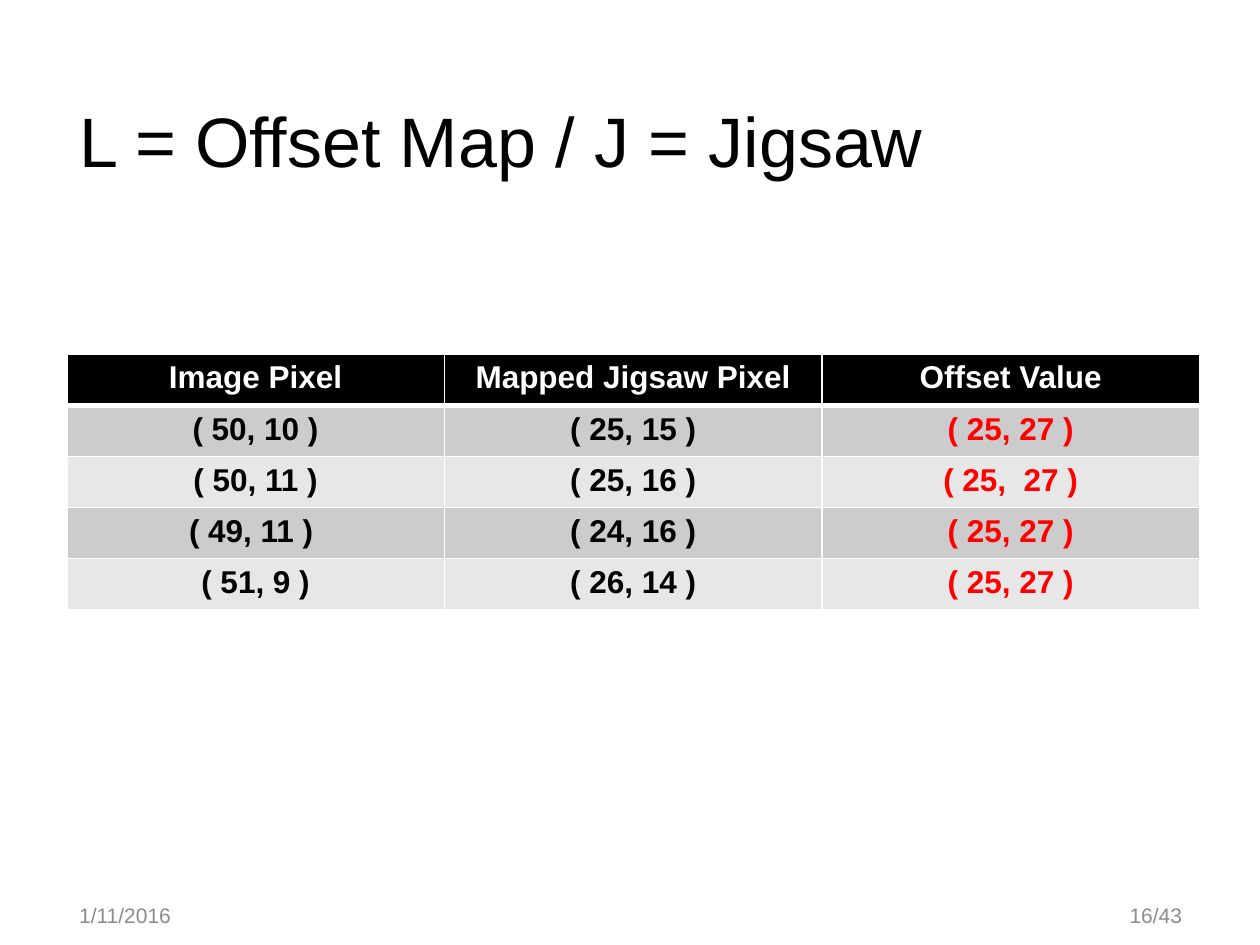
from lxml import etree
from pptx import Presentation, util as u
from pptx.dml.color import RGBColor
from pptx.enum import text
from pptx.oxml.ns import qn

BLACK = RGBColor(0x00, 0x00, 0x00)
WHITE = RGBColor(0xFF, 0xFF, 0xFF)
RED = RGBColor(0xFF, 0x00, 0x00)
GRAY = RGBColor(0x8C, 0x8C, 0x8C)
BANDS = (RGBColor(0xCC, 0xCC, 0xCC), RGBColor(0xE7, 0xE7, 0xE7))

HEADING = "L = Offset Map / J = Jigsaw"
HEADERS = ("Image Pixel", "Mapped Jigsaw Pixel", "Offset Value")
OFFSETS = (
    ("( 50, 10 )", "( 25, 15 )", "( 25, 27 )"),
    ("( 50, 11 )", "( 25, 16 )", "( 25,  27 )"),
    ("( 49, 11 ) ", "( 24, 16 )", "( 25, 27 )"),
    ("( 51, 9 )", "( 26, 14 )", "( 25, 27 )"),
)
COLUMN_COLORS = (BLACK, BLACK, RED)
LEFT, WIDTH = 0.53, 8.99
TABLE_TOP, ROW_HEIGHT = 2.81, 0.406
FOOTER_TOP, FOOTER_WIDTH, FOOTER_HEIGHT = 7.06, 2.25, 0.4
FOOTERS = (
    ("1/11/2016", LEFT, text.PP_ALIGN.LEFT),
    ("16/43", 7.23, text.PP_ALIGN.RIGHT),
)


def write(frame, words, size, color, align, bold=False):
    """Write one formatted run in the frame's first paragraph."""
    line = frame.paragraphs[0]
    line.alignment = align
    run = line.add_run()
    run.text = words
    run.font.name = "Arial"
    run.font.size = u.Pt(size)
    run.font.bold = bold
    run.font.color.rgb = color


def rule_cell(cell, widths):
    """Draw white borders of the given point widths: left, right, top, bottom."""
    properties = cell._tc.get_or_add_tcPr()
    for place, (side, width) in enumerate(zip("LRTB", widths)):
        border = etree.Element(qn(f"a:ln{side}"), w=str(u.Pt(width)))
        fill = etree.SubElement(border, qn("a:solidFill"))
        etree.SubElement(fill, qn("a:srgbClr"), val=str(WHITE))
        properties.insert(place, border)


def add_offsets(slide):
    """Add the table of pixels and their offsets."""
    rows = (HEADERS,) + OFFSETS
    offsets = slide.shapes.add_table(
        len(rows), len(HEADERS), u.Inches(LEFT), u.Inches(TABLE_TOP),
        u.Inches(WIDTH), u.Inches(ROW_HEIGHT * len(rows))).table
    for r, row in enumerate(rows):
        for c, words in enumerate(row):
            cell = offsets.cell(r, c)
            cell.fill.solid()
            cell.fill.fore_color.rgb = BANDS[(r - 1) % 2] if r else BLACK
            rule_cell(cell, (1, 1, 3 if r == 1 else 1, 1 if r else 3))
            write(cell.text_frame, words, 18, COLUMN_COLORS[c] if r else WHITE,
                  text.PP_ALIGN.CENTER, True)


def main():
    """Build the slide and save it."""
    deck = Presentation()
    deck.slide_width, deck.slide_height = u.Inches(10), u.Inches(7.5)
    slide = deck.slides.add_slide(deck.slide_layouts[5])

    heading = slide.shapes.title
    heading.left, heading.top = u.Inches(LEFT), u.Inches(0.57)
    heading.width, heading.height = u.Inches(WIDTH), u.Inches(0.97)
    heading.text_frame.vertical_anchor = text.MSO_ANCHOR.BOTTOM
    heading.text_frame.margin_bottom = u.Inches(0.1)
    write(heading.text_frame, HEADING, 40, BLACK, text.PP_ALIGN.LEFT)

    add_offsets(slide)

    for words, left, align in FOOTERS:
        footer = slide.shapes.add_textbox(
            u.Inches(left), u.Inches(FOOTER_TOP),
            u.Inches(FOOTER_WIDTH), u.Inches(FOOTER_HEIGHT)).text_frame
        footer.word_wrap = True
        footer.vertical_anchor = text.MSO_ANCHOR.MIDDLE
        write(footer, words, 12, GRAY, align)

    deck.save("out.pptx")


if __name__ == "__main__":
    main()
